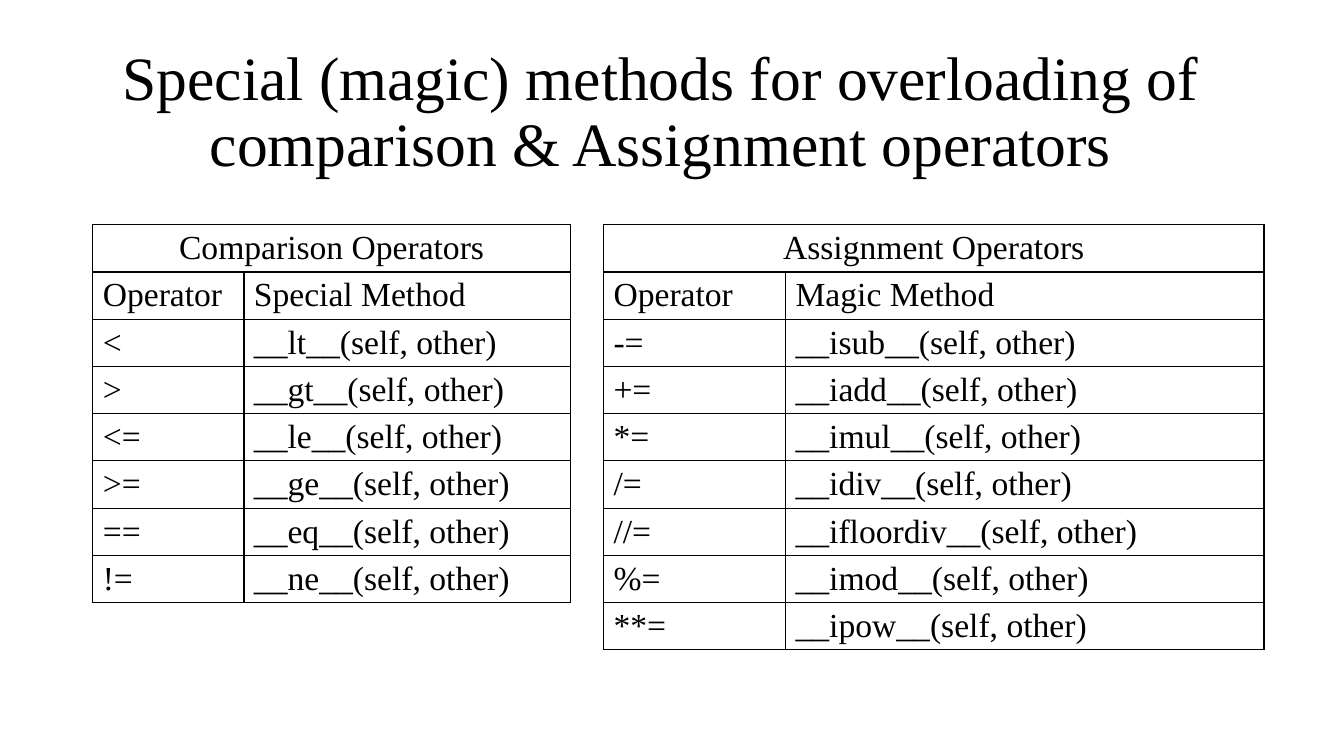
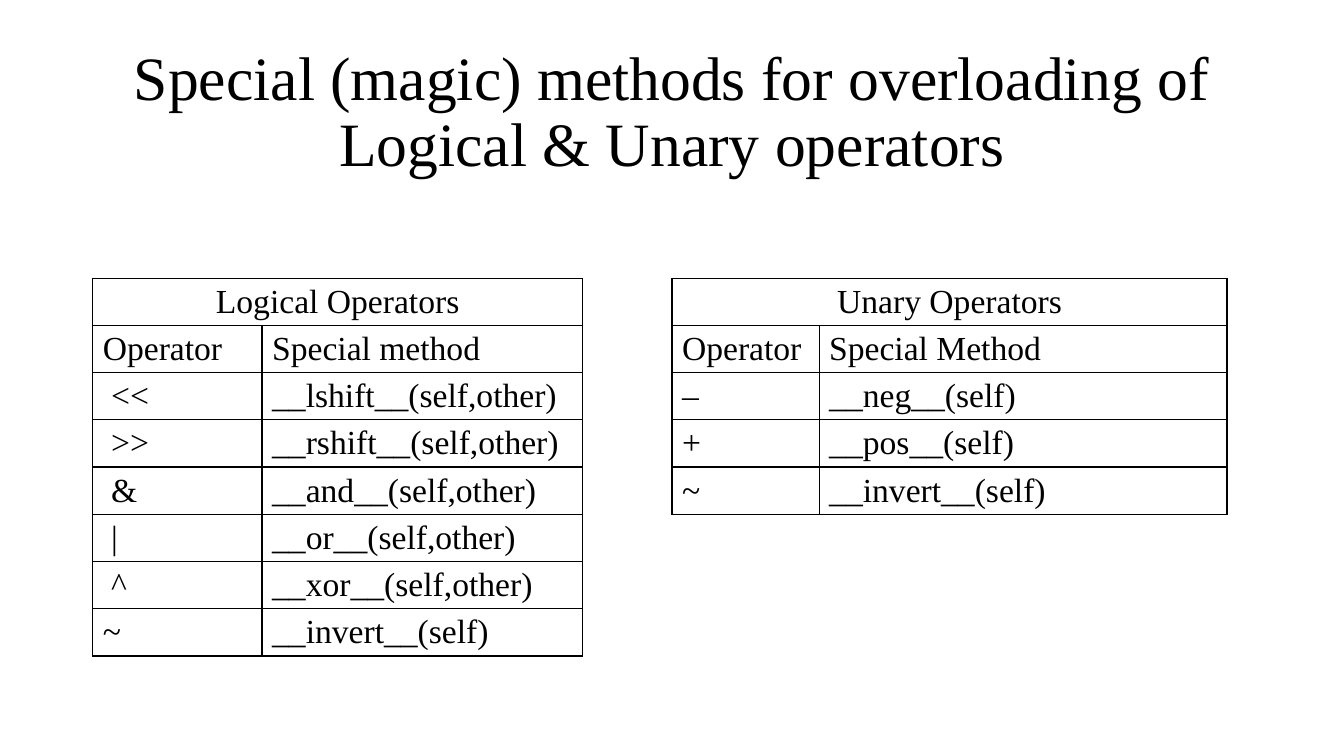
import pptx
import pptx.dml.color
import pptx.enum.text
import pptx.oxml
import pptx.oxml.ns
import pptx.util

COLORS = {"ink": "000000", "paper": "FFFFFF"}
FONT = "Times New Roman"
TITLE_SIZE, TABLE_SIZE = 44, 24
BORDER_WIDTH = 1

SLIDE_WIDTH = pptx.util.Inches(13.333)
SLIDE_HEIGHT = pptx.util.Inches(7.5)
# The grid divides the slide into 100 columns and 100 rows.
TITLE_TOP, TITLE_HEIGHT = 5.33, 19.33
TABLE_ROW = 6.25
LEFT_MARGIN = 6.9

PAIR = "self, other"
TIGHT_PAIR = "self,other"

SLIDES = [
    {
        "title": "Special (magic) methods for overloading of "
                 "comparison & Assignment operators",
        "title_left": 2.33,
        "title_width": 93.7,
        "tables_top": 29.73,
        "tables": [
            {
                "left": LEFT_MARGIN,
                "columns": (11.25, 24.3),
                "headings": ("Comparison Operators", "Operator", "Special Method"),
                "methods": [("<", "lt", PAIR), (">", "gt", PAIR), ("<=", "le", PAIR),
                            (">=", "ge", PAIR), ("==", "eq", PAIR), ("!=", "ne", PAIR)],
            },
            {
                "left": 44.9,
                "columns": (13.55, 35.6),
                "headings": ("Assignment Operators", "Operator", "Magic Method"),
                "methods": [("-=", "isub", PAIR), ("+=", "iadd", PAIR),
                            ("*=", "imul", PAIR), ("/=", "idiv", PAIR),
                            ("//=", "ifloordiv", PAIR), ("%=", "imod", PAIR),
                            ("**=", "ipow", PAIR)],
            },
        ],
    },
    {
        "title": "Special (magic) methods for overloading of "
                 "Logical & Unary operators",
        "title_left": LEFT_MARGIN,
        "title_width": 86.25,
        "tables_top": 36.8,
        "tables": [
            {
                "left": LEFT_MARGIN,
                "columns": (12.6, 23.85),
                "headings": ("Logical Operators", "Operator", "Special method"),
                "methods": [(" <<", "lshift", TIGHT_PAIR), (" >>", "rshift", TIGHT_PAIR),
                            (" &", "and", TIGHT_PAIR), (" |", "or", TIGHT_PAIR),
                            (" ^", "xor", TIGHT_PAIR), ("~", "invert", "self")],
            },
            {
                "left": 50,
                "columns": (10.95, 30.35),
                "headings": ("Unary Operators", "Operator", "Special Method"),
                "methods": [("–", "neg", "self"), ("+", "pos", "self"),
                            ("~", "invert", "self")],
            },
        ],
    },
]


def across(columns):
    """Return the length of a number of grid columns."""
    return round(SLIDE_WIDTH * columns / 100)


def down(rows):
    """Return the length of a number of grid rows."""
    return round(SLIDE_HEIGHT * rows / 100)


def style_paragraph(paragraph, size, centered=False):
    """Set the shared font and the alignment of a paragraph."""
    alignments = pptx.enum.text.PP_ALIGN
    paragraph.alignment = alignments.CENTER if centered else alignments.LEFT
    paragraph.font.name = FONT
    paragraph.font.size = pptx.util.Pt(size)
    paragraph.font.color.rgb = pptx.dml.color.RGBColor.from_string(COLORS["ink"])


def add_borders(cell):
    """Draw a line on all four sides of a table cell."""
    properties = cell._tc.get_or_add_tcPr()
    for side in ("lnL", "lnR", "lnT", "lnB"):
        properties.append(pptx.oxml.parse_xml(
            f'<a:{side} {pptx.oxml.ns.nsdecls("a")} w="{pptx.util.Pt(BORDER_WIDTH)}">'
            f'<a:solidFill><a:srgbClr val="{COLORS["ink"]}"/></a:solidFill></a:{side}>'))


def style_cell(cell, text, centered=False):
    """Fill one table cell with text, borders and a plain ground."""
    cell.text = text
    cell.vertical_anchor = pptx.enum.text.MSO_ANCHOR.MIDDLE
    cell.margin_top = cell.margin_bottom = pptx.util.Inches(0.04)
    style_paragraph(cell.text_frame.paragraphs[0], TABLE_SIZE, centered)
    add_borders(cell)
    cell.fill.solid()
    cell.fill.fore_color.rgb = pptx.dml.color.RGBColor.from_string(COLORS["paper"])


def add_title(slide, text, left, width):
    """Place the centred title in the template's title placeholder."""
    title = slide.shapes.title
    title.left, title.top = across(left), down(TITLE_TOP)
    title.width, title.height = across(width), down(TITLE_HEIGHT)
    frame = title.text_frame
    frame.text = text
    frame.word_wrap = True
    frame.auto_size = pptx.enum.text.MSO_AUTO_SIZE.NONE
    frame.vertical_anchor = pptx.enum.text.MSO_ANCHOR.MIDDLE
    paragraph = frame.paragraphs[0]
    style_paragraph(paragraph, TITLE_SIZE, centered=True)
    paragraph.line_spacing = 0.9


def add_operator_table(slide, top, left, columns, headings, methods):
    """Add a table of operators and methods under a merged heading."""
    heading, *column_names = headings
    rows = [(heading, ""), column_names]
    rows += [(operator, f"__{name}__({arguments})")
             for operator, name, arguments in methods]
    table = slide.shapes.add_table(
        len(rows), len(columns), across(left), down(top),
        across(sum(columns)), down(TABLE_ROW * len(rows))).table
    table.first_row = table.horz_banding = False
    for column, width in zip(table.columns, columns):
        column.width = across(width)
    for row_index, texts in enumerate(rows):
        table.rows[row_index].height = down(TABLE_ROW)
        for column_index, text in enumerate(texts):
            style_cell(table.cell(row_index, column_index), text, row_index == 0)
    table.cell(0, 0).merge(table.cell(0, len(columns) - 1))


def add_operator_slide(presentation, content):
    """Add a slide with a title and its operator tables side by side."""
    slide = presentation.slides.add_slide(presentation.slide_layouts[5])
    add_title(slide, content["title"], content["title_left"], content["title_width"])
    for table in content["tables"]:
        add_operator_table(slide, content["tables_top"], **table)


def main():
    """Build and save the presentation."""
    presentation = pptx.Presentation()
    presentation.slide_width = SLIDE_WIDTH
    presentation.slide_height = SLIDE_HEIGHT
    for content in SLIDES:
        add_operator_slide(presentation, content)
    presentation.save("out.pptx")


main()
